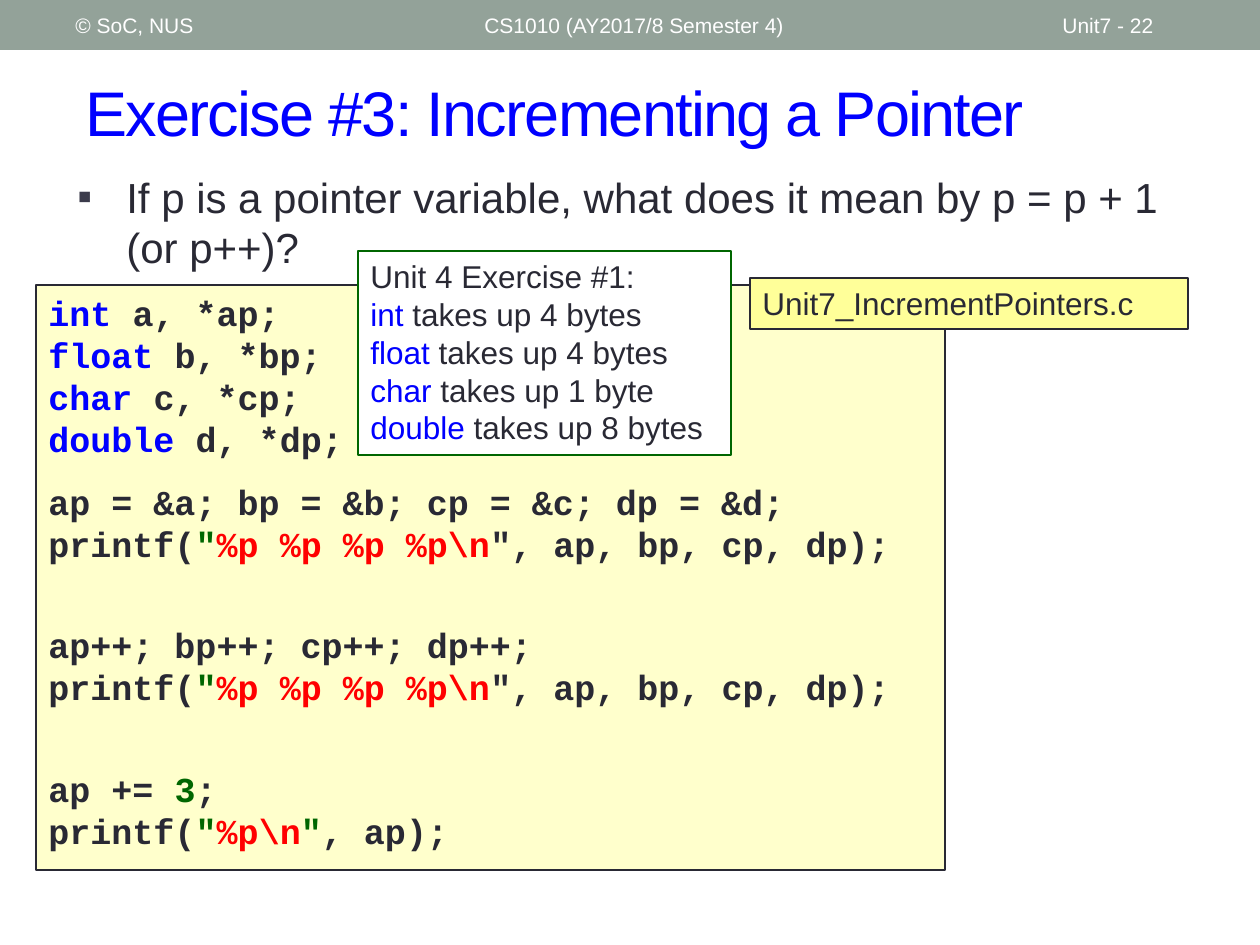
from pptx import Presentation
from pptx.dml.color import RGBColor
from pptx.enum.shapes import MSO_SHAPE
from pptx.enum.text import MSO_ANCHOR, PP_ALIGN
from pptx.oxml import parse_xml
from pptx.oxml.ns import nsdecls
from pptx.util import Pt

PX = 914400 / 126  # EMU per px

INK = RGBColor(0x29, 0x29, 0x34)
BLUE = RGBColor(0x00, 0x00, 0xFF)
GREEN = RGBColor(0x00, 0x66, 0x00)
RED = RGBColor(0xFF, 0x00, 0x00)
WHITE = RGBColor(0xFF, 0xFF, 0xFF)
SAGE = RGBColor(0x93, 0xA2, 0x99)
CREAM = RGBColor(0xFF, 0xFF, 0xCC)
YELLOW = RGBColor(0xFF, 0xFF, 0x99)

# Content: a paragraph is (space before in points, [(text, colour), ...])
HEADER = [  # left, width, text
    (472, 567, "CS1010 (AY2017/8 Semester 4)"),
    (1050, 147, "Unit7 - 22"),
    (63, 399, "© SoC, NUS"),
]
TITLE = "Exercise #3: Incrementing a Pointer"
QUESTION = "If p is a pointer variable, what does it mean by p = p + 1 (or p++)?"
FILE_NAME = "Unit7_IncrementPointers.c"

PRINT_ALL = (0, [("printf(", INK), ('"', GREEN), ("%p %p %p %p\\n", RED),
                 ('", ap, bp, cp, dp);', INK)])
CODE = [
    (0, [("int ", BLUE), ("a, *ap;", INK)]),
    (0, [("float ", BLUE), ("b, *bp;", INK)]),
    (0, [("char ", BLUE), ("c, *cp;", INK)]),
    (0, [("double ", BLUE), ("d, *dp;", INK)]),
    (12, [("ap = &a; bp = &b; cp = &c; dp = &d;", INK)]),
    PRINT_ALL,
    (34, [("ap++; bp++; cp++; dp++;", INK)]),
    PRINT_ALL,
    (34, [("ap += ", INK), ("3", GREEN), (";", INK)]),
    (0, [("printf(", INK), ('"', GREEN), ("%p\\n", RED), ('"', GREEN),
         (", ap);", INK)]),
]
TYPE_SIZES = [
    (0, [("Unit 4 Exercise #1:", INK)]),
    (0, [("int ", BLUE), ("takes up 4 bytes", INK)]),
    (0, [("float", BLUE), (" takes up 4 bytes", INK)]),
    (0, [("char ", BLUE), ("takes up 1 byte", INK)]),
    (0, [("double", BLUE), (" takes up 8 bytes", INK)]),
]


def write(shape, paragraphs, size, font="Arial", bold=False,
          anchor=MSO_ANCHOR.TOP):
    frame = shape.text_frame
    frame.word_wrap = True
    frame.vertical_anchor = anchor
    for i, (space, runs) in enumerate(paragraphs):
        paragraph = frame.add_paragraph() if i else frame.paragraphs[0]
        paragraph.alignment = PP_ALIGN.LEFT
        paragraph.space_before = Pt(space)
        for text, colour in runs:
            run = paragraph.add_run()
            run.text = text
            run.font.name = font
            run.font.size = Pt(size)
            run.font.bold = bold
            run.font.color.rgb = colour
    return frame.paragraphs[0]


def add_text(slide, box, *args, **style):
    textbox = slide.shapes.add_textbox(*(round(v * PX) for v in box))
    return write(textbox, *args, **style)


def add_box(slide, box, fill, line=None):
    shape = slide.shapes.add_shape(MSO_SHAPE.RECTANGLE,
                                   *(round(v * PX) for v in box))
    shape.shadow.inherit = False
    shape.fill.solid()
    shape.fill.fore_color.rgb = fill
    if line is None:
        shape.line.fill.background()
    else:
        shape.line.color.rgb = line
        shape.line.width = Pt(0.75)
    return shape


def main():
    deck = Presentation()
    deck.slide_width, deck.slide_height = round(1260 * PX), round(945 * PX)
    slide = deck.slides.add_slide(deck.slide_layouts[6])

    # Header band
    add_box(slide, (0, 0, 1260, 50), SAGE)
    for left, width, text in HEADER:
        add_text(slide, (left, 3, width, 45), [(0, [(text, WHITE)])], 12,
                 anchor=MSO_ANCHOR.MIDDLE)

    # Title, with tightened letter spacing
    title = add_text(slide, (73, 53, 1155, 116), [(0, [(TITLE, BLUE)])], 36,
                     anchor=MSO_ANCHOR.MIDDLE)
    title.runs[0].font._element.set("spc", "-100")

    # Bulleted question
    question = add_text(slide, (65, 165, 1123, 108),
                        [(6, [(QUESTION, INK)])], 24)
    properties = question._p.get_or_add_pPr()
    indent = round(49 * PX)
    properties.set("marL", str(indent))
    properties.set("indent", str(-indent))
    for bullet in ('<a:buClr %s><a:srgbClr val="3B3B4B"/></a:buClr>',
                   '<a:buFont %s typeface="Arial"/>',
                   '<a:buChar %s char="▪"/>'):
        properties.append(parse_xml(bullet % nsdecls("a")))

    # Code listing, its file name and the reminder on type sizes
    listing = add_box(slide, (36, 285, 909, 585), CREAM, INK)
    write(listing, CODE, 20, font="Courier New", bold=True)
    file_label = add_box(slide, (750, 278, 438, 51), YELLOW, INK)
    write(file_label, [(0, [(FILE_NAME, INK)])], 18)
    reminder = add_box(slide, (358, 251, 373, 204), WHITE, GREEN)
    write(reminder, TYPE_SIZES, 18)

    deck.save("out.pptx")


if __name__ == "__main__":
    main()
